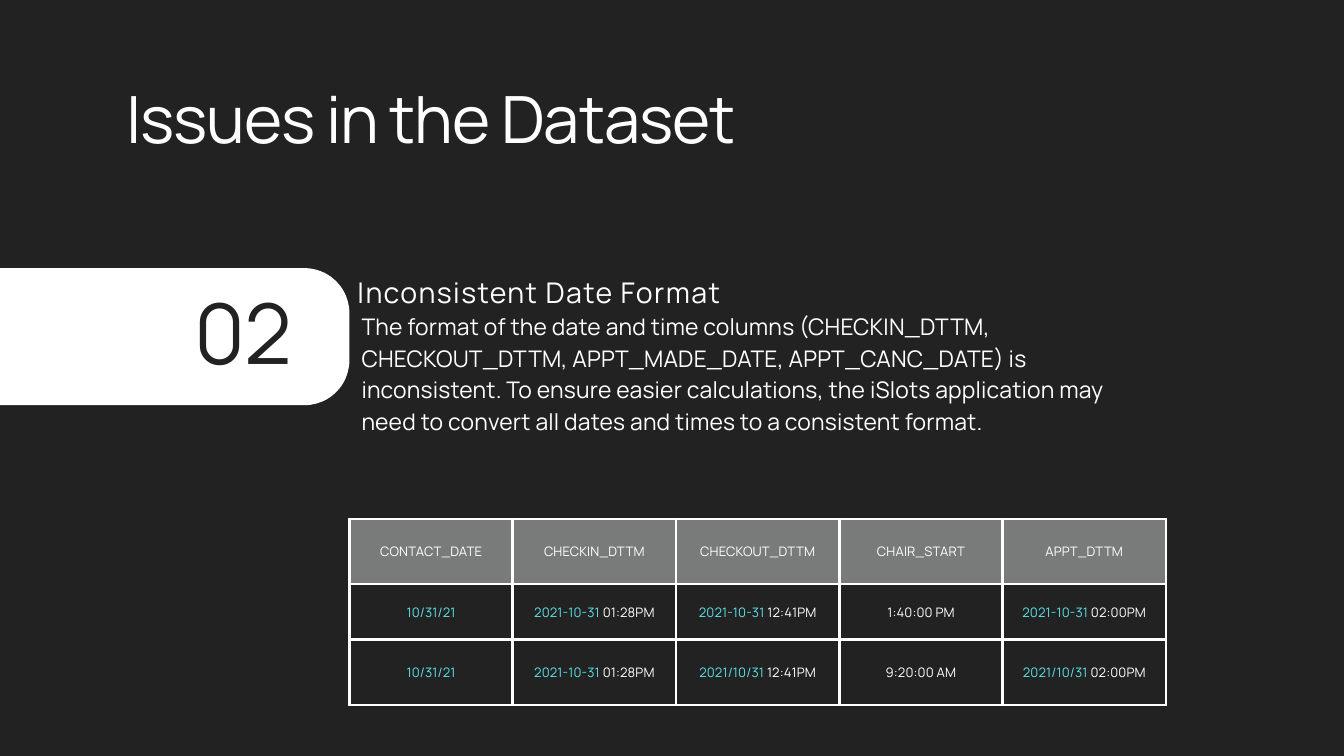
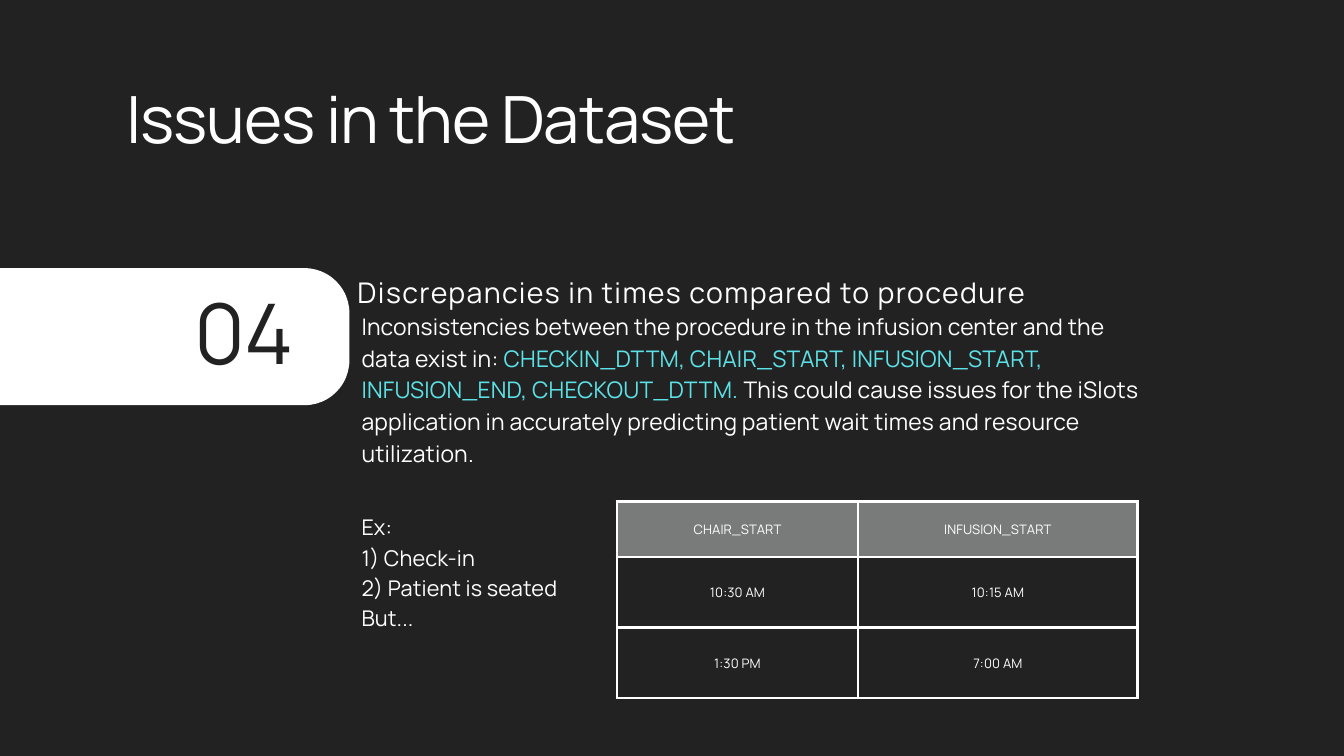
from dataclasses import dataclass

from lxml import etree
from pptx import Presentation
from pptx.dml.color import RGBColor
from pptx.enum.shapes import MSO_SHAPE
from pptx.enum.text import MSO_ANCHOR, MSO_AUTO_SIZE, PP_ALIGN
from pptx.oxml.ns import qn
from pptx.slide import Slide
from pptx.table import _Cell
from pptx.text.text import _Paragraph
from pptx.util import Inches, Pt

ROUNDED = MSO_SHAPE.ROUNDED_RECTANGLE
MIDDLE = MSO_ANCHOR.MIDDLE
CENTER = PP_ALIGN.CENTER
GROW = MSO_AUTO_SIZE.SHAPE_TO_FIT_TEXT
BLANK_LAYOUT = 6


@dataclass(frozen=True)
class TextStyle:
    size: float
    leading: float
    tracking: float
    color: RGBColor


@dataclass(frozen=True)
class Theme:
    font: str = "Manrope"
    dark: RGBColor = RGBColor(0x22, 0x22, 0x22)
    white: RGBColor = RGBColor(0xFF, 0xFF, 0xFF)
    gray: RGBColor = RGBColor(0x79, 0x7A, 0x7A)
    accent: RGBColor = RGBColor(0x5C, 0xE1, 0xE6)
    border: float = 3
    title: TextStyle = TextStyle(69.8, 97.7, -1.2, white)
    number: TextStyle = TextStyle(89.6, 125.5, -1.5, dark)
    heading: TextStyle = TextStyle(30.5, 42.7, 1.53, white)
    body: TextStyle = TextStyle(24.45, 34.23, 0.24, white)
    example: TextStyle = TextStyle(23.2, 32.4, 0.2, white)
    cell: TextStyle = TextStyle(14, 19.6, 0.14, white)


THEME = Theme()


@dataclass(frozen=True)
class Span:
    text: str
    accent: bool = False


Line = tuple[Span, ...]


@dataclass(frozen=True)
class Box:
    left: float
    top: float
    width: float
    height: float

    def emu(self) -> tuple[int, int, int, int]:
        return (Inches(self.left), Inches(self.top),
                Inches(self.width), Inches(self.height))


@dataclass(frozen=True)
class DataTable:
    left: float
    top: float
    columns: list[float]
    rows: list[float]
    cells: list[list[Line]]


@dataclass(frozen=True)
class Issue:
    number: str
    heading: str
    body: Line
    table: DataTable
    example: tuple[str, ...] = ()


TITLE_BOX = Box(1.88, 0.97, 12.12, 1.31)
BAND_BOX = Box(-3.5, 3.99, 8.7, 2.04)
BAND_RADIUS = 0.67
NUMBER_BOX = Box(2.9, 3.93, 2.01, 1.68)
HEADING_BOX = Box(5.32, 4.01, 14.03, 0.55)
BODY_BOX = Box(5.38, 4.58, 11.82, 2.33)
EXAMPLE_BOX = Box(5.38, 7.59, 3.45, 1.78)
CELL_MARGIN = 0.21


def plain(text: str) -> Line:
    return (Span(text),)


def date(day: str, time: str = "") -> Line:
    """A highlighted day, followed by the time if there is one."""
    if not time:
        return (Span(day, True),)
    return Span(f"{day} ", True), Span(time)


def write_line(p: _Paragraph, line: Line, style: TextStyle) -> None:
    p.line_spacing = Pt(style.leading)
    for span in line:
        r = p.add_run()
        r.text = span.text
        r.font.name = THEME.font
        r.font.size = Pt(style.size)
        r.font.color.rgb = THEME.accent if span.accent else style.color
        r._r.get_or_add_rPr().set("spc", str(round(style.tracking * 100)))


def add_text(slide: Slide, box: Box, style: TextStyle, *lines: Line) -> None:
    tf = slide.shapes.add_textbox(*box.emu()).text_frame
    tf.word_wrap = True
    tf.auto_size = GROW
    tf.margin_left = tf.margin_top = tf.margin_right = tf.margin_bottom = 0
    for i, line in enumerate(lines):
        p = tf.add_paragraph() if i else tf.paragraphs[0]
        write_line(p, line, style)


def add_band(slide: Slide) -> None:
    sp = slide.shapes.add_shape(ROUNDED, *BAND_BOX.emu())
    sp.adjustments[0] = BAND_RADIUS / BAND_BOX.height
    sp.shadow.inherit = False
    sp.fill.solid()
    sp.fill.fore_color.rgb = THEME.white
    sp.line.fill.background()


def set_borders(cell: _Cell) -> None:
    tc_pr = cell._tc.get_or_add_tcPr()
    for side in ("lnL", "lnR", "lnT", "lnB"):
        ln = etree.SubElement(tc_pr, qn(f"a:{side}"), w=str(Pt(THEME.border)))
        fill = etree.SubElement(ln, qn("a:solidFill"))
        etree.SubElement(fill, qn("a:srgbClr"), val=str(THEME.white))


def format_cell(cell: _Cell, line: Line, is_header: bool) -> None:
    margin = Inches(CELL_MARGIN)
    cell.margin_left = cell.margin_right = margin
    cell.margin_top = cell.margin_bottom = margin
    cell.vertical_anchor = MIDDLE
    set_borders(cell)
    if is_header:
        cell.fill.solid()
        cell.fill.fore_color.rgb = THEME.gray
    else:
        cell.fill.background()
    p = cell.text_frame.paragraphs[0]
    p.alignment = CENTER
    write_line(p, line, THEME.cell)


def add_data_table(slide: Slide, data: DataTable) -> None:
    box = Box(data.left, data.top, sum(data.columns), sum(data.rows))
    table = slide.shapes.add_table(
        len(data.rows), len(data.columns), *box.emu()).table
    table.first_row = table.horz_banding = False
    for column, width in zip(table.columns, data.columns):
        column.width = Inches(width)
    for row, height in zip(table.rows, data.rows):
        row.height = Inches(height)
    for i, lines in enumerate(data.cells):
        for j, line in enumerate(lines):
            format_cell(table.cell(i, j), line, is_header=i == 0)


def add_issue_slide(prs: Presentation, issue: Issue) -> None:
    slide = prs.slides.add_slide(prs.slide_layouts[BLANK_LAYOUT])
    slide.background.fill.solid()
    slide.background.fill.fore_color.rgb = THEME.dark
    add_band(slide)
    add_data_table(slide, issue.table)
    add_text(slide, BODY_BOX, THEME.body, issue.body)
    add_text(slide, HEADING_BOX, THEME.heading, plain(issue.heading))
    add_text(slide, NUMBER_BOX, THEME.number, plain(issue.number))
    add_text(slide, TITLE_BOX, THEME.title, plain("Issues in the Dataset"))
    if issue.example:
        add_text(slide, EXAMPLE_BOX, THEME.example, *map(plain, issue.example))


ISSUES = [
    Issue(
        "02",
        "Inconsistent Date Format",
        plain("The format of the date and time columns (CHECKIN_DTTM, "
              "CHECKOUT_DTTM, APPT_MADE_DATE, APPT_CANC_DATE) is "
              "inconsistent. To ensure easier calculations, the iSlots "
              "application may need to convert all dates and times to a "
              "consistent format."),
        DataTable(5.2, 7.72, [2.43] * 5, [0.97, 0.83, 0.97], [
            [plain(name) for name in (
                "CONTACT_DATE", "CHECKIN_DTTM", "CHECKOUT_DTTM",
                "CHAIR_START", "APPT_DTTM")],
            [date("10/31/21"), date("2021-10-31", "01:28PM"),
             date("2021-10-31", "12:41PM"), plain("1:40:00 PM"),
             date("2021-10-31", "02:00PM")],
            [date("10/31/21"), date("2021-10-31", "01:28PM"),
             date("2021/10/31", "12:41PM"), plain("9:20:00 AM"),
             date("2021/10/31", "02:00PM")],
        ]),
    ),
    Issue(
        "04",
        "Discrepancies in times compared to procedure",
        (Span("Inconsistencies between the procedure in the infusion center "
              "and the data exist in: "),
         Span("CHECKIN_DTTM, CHAIR_START, INFUSION_START, INFUSION_END, "
              "CHECKOUT_DTTM. ", True),
         Span("This could cause issues for the iSlots application in "
              "accurately predicting patient wait times and resource "
              "utilization.")),
        DataTable(9.18, 7.46, [3.59, 4.16], [0.83, 1.05, 1.05], [
            [plain("CHAIR_START"), plain("INFUSION_START")],
            [plain("10:30 AM"), plain("10:15 AM")],
            [plain("1:30 PM"), plain("7:00 AM")],
        ]),
        ("Ex:", "1) Check-in", "2) Patient is seated", "But..."),
    ),
]


def main() -> None:
    prs = Presentation()
    prs.slide_width = Inches(20)
    prs.slide_height = Inches(11.25)
    for issue in ISSUES:
        add_issue_slide(prs, issue)
    prs.save("out.pptx")


if __name__ == "__main__":
    main()
